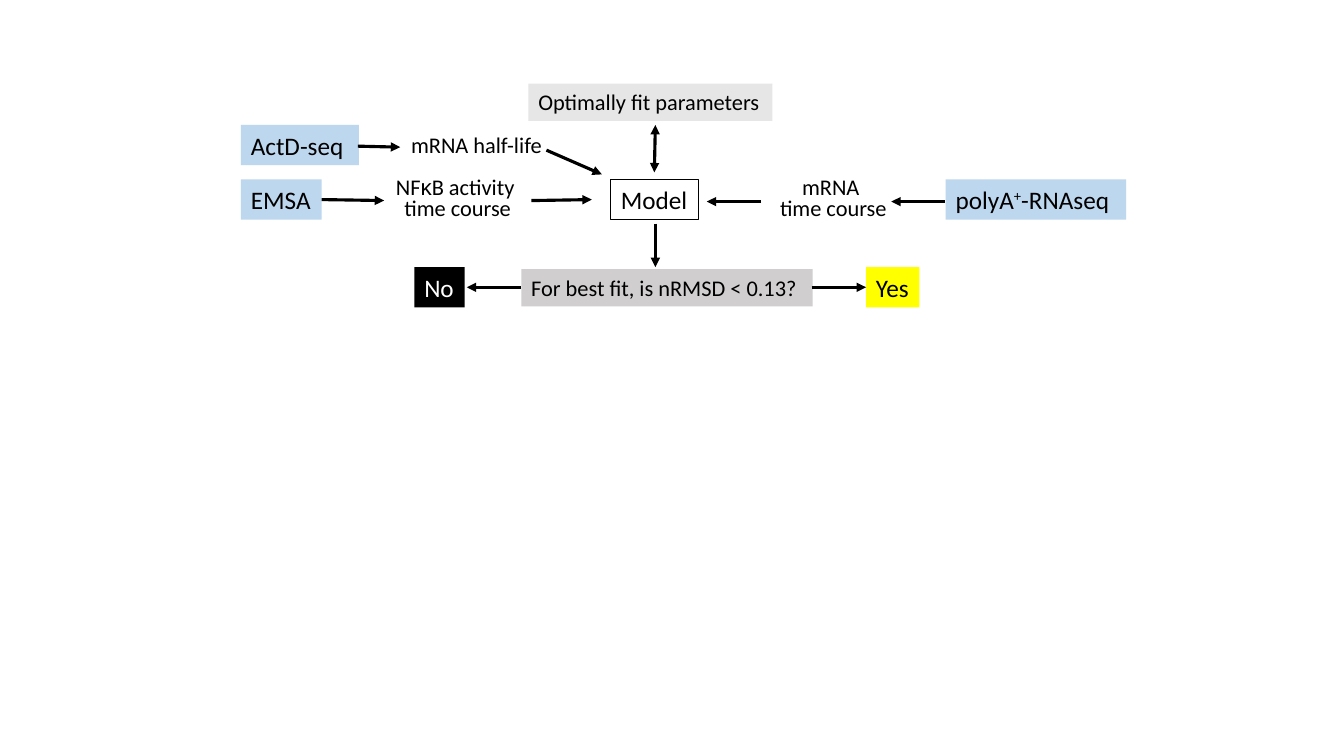
from lxml import etree
from pptx import Presentation
from pptx.dml.color import RGBColor
from pptx.enum.shapes import MSO_CONNECTOR
from pptx.enum.text import PP_ALIGN
from pptx.oxml.ns import qn
from pptx.util import Inches, Pt

STRAIGHT = MSO_CONNECTOR.STRAIGHT
LEFT, CENTER = PP_ALIGN.LEFT, PP_ALIGN.CENTER
BLACK, WHITE, BLUE, YELLOW = "000000", "FFFFFF", "BDD7EE", "FFFF00"
LIGHT_GREY, GREY = "E7E6E6", "D0CECE"


def rgb(value):
    return RGBColor.from_string(value)


def add_label(area, lines, size, align, color=BLACK):
    """Add a text box; each line is a list of (text, font) spans."""
    box = slide.shapes.add_textbox(*[Inches(length) for length in area])
    frame = box.text_frame
    frame.word_wrap = True
    frame.margin_right = 0
    if align == CENTER:
        frame.margin_left = 0
    for number, spans in enumerate(lines):
        para = frame.add_paragraph() if number else frame.paragraphs[0]
        para.alignment = align
        if align == CENTER:
            para.line_spacing = 0.8
        for text, font in spans:
            span = para.add_run()
            span.text = text
            span.font.name = font
            span.font.size = Pt(size)
            span.font.color.rgb = rgb(color)
    return box


deck = Presentation()
deck.slide_width, deck.slide_height = Inches(13.33), Inches(7.5)
slide = deck.slides.add_slide(deck.slide_layouts[6])

# Boxes: area, text, size, fill, text colour
boxes = [
    ((2.39, 1.24, 1.17, 0.4), ["ActD-seq"], 18, BLUE, BLACK),
    ((2.39, 1.78, 0.8, 0.4), ["EMSA"], 18, BLUE, BLACK),
    ((9.38, 1.78, 1.79, 0.4), ["polyA", "+", "-RNAseq"], 18, BLUE, BLACK),
    ((6.06, 1.78, 0.87, 0.4), ["Model"], 18, None, BLACK),
    ((5.24, 0.83, 2.42, 0.37), ["Optimally fit parameters"], 16, LIGHT_GREY, BLACK),
    ((5.17, 2.67, 2.89, 0.37), ["For best fit, is nRMSD < 0.13?"], 16, GREY, BLACK),
    ((8.59, 2.65, 0.53, 0.4), ["Yes"], 18, YELLOW, BLACK),
    ((4.11, 2.65, 0.5, 0.4), ["No"], 18, BLACK, WHITE),
]
for area, texts, size, fill, color in boxes:
    box = add_label(area, [[(text, "Calibri") for text in texts]], size, LEFT, color)
    if fill:
        box.fill.solid()
        box.fill.fore_color.rgb = rgb(fill)
    else:
        box.line.color.rgb = rgb(BLACK)
        box.line.width = Pt(0.75)
    for span in box.text_frame.paragraphs[0].runs:
        if span.text == "+":
            span.font._element.set("baseline", "30000")

# Plain labels between the boxes
labels = [
    ((3.97, 1.3, 1.51, 0.32), [[("mRNA half-life", "Calibri")]]),
    ((3.81, 1.72, 1.46, 0.54),
     [[("NF", "Calibri"), ("κ", "Arial"), ("B activity ", "Calibri")],
      [("time course", "Calibri")]]),
    ((7.61, 1.72, 1.31, 0.53),
     [[("mRNA ", "Calibri")], [("time course", "Calibri")]]),
]
for area, lines in labels:
    add_label(area, lines, 16, CENTER)

# Arrows: start x, start y, end x, end y, ends with a head
arrows = [
    (3.55, 1.45, 3.97, 1.46, ["tailEnd"]),
    (5.42, 1.49, 5.97, 1.73, ["tailEnd"]),
    (3.19, 1.98, 3.81, 1.99, ["tailEnd"]),
    (5.27, 1.99, 5.87, 1.98, ["tailEnd"]),
    (7.55, 2, 7.01, 2, ["tailEnd"]),
    (9.37, 2, 8.84, 2, ["tailEnd"]),
    (6.5, 1.24, 6.49, 1.71, ["headEnd", "tailEnd"]),
    (6.5, 2.22, 6.5, 2.65, ["tailEnd"]),
    (5.17, 2.85, 4.63, 2.85, ["tailEnd"]),
    (8.05, 2.85, 8.59, 2.85, ["tailEnd"]),
]
for *points, heads in arrows:
    arrow = slide.shapes.add_connector(STRAIGHT, *[Inches(point) for point in points])
    arrow.line.color.rgb = rgb(BLACK)
    arrow.line.width = Pt(2.25)
    properties = arrow._element.spPr
    outline = properties.find(qn("a:ln"))
    for head in heads:
        etree.SubElement(outline, qn(f"a:{head}"), type="triangle")
    etree.SubElement(properties, qn("a:effectLst"))

deck.save("out.pptx")
